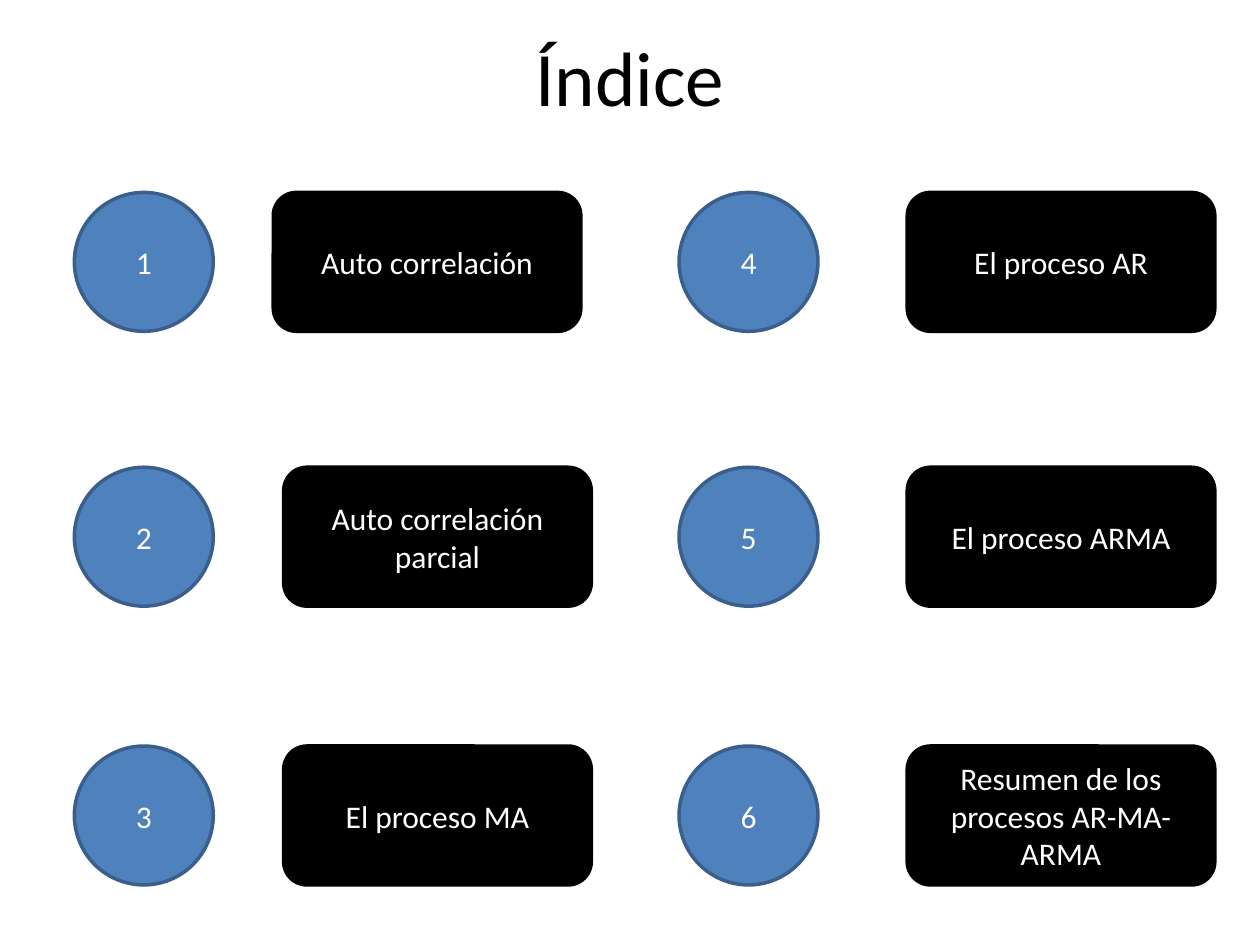
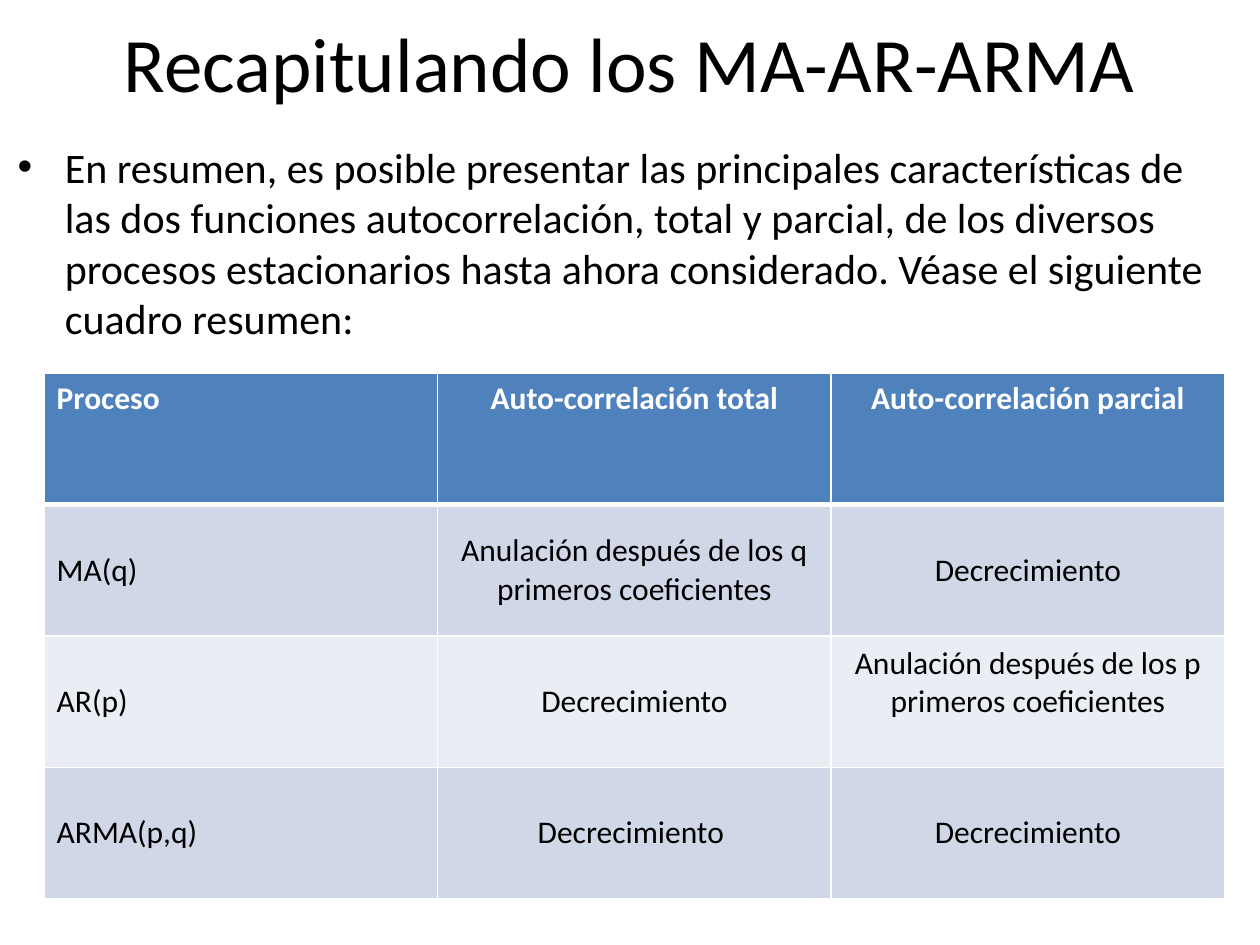
from dataclasses import dataclass

from lxml import etree
from pptx import Presentation
from pptx import util as u
from pptx.dml.color import RGBColor
from pptx.enum import shapes, text
from pptx.oxml import ns

FONT = "Calibri"
HUES = {
    "ink": "000000",
    "paper": "FFFFFF",
    "blue": "4F81BD",
    "edge": "3A5F8C",
    "dark": "D0D8E8",
    "light": "E9EDF4",
}


@dataclass
class Box:
    """Left, top, width and height in centimetres."""
    x: float
    y: float
    w: float
    h: float

    def span(self) -> list:
        return [u.Cm(v) for v in (self.x, self.y, self.w, self.h)]


@dataclass
class Look:
    kind: shapes.MSO_SHAPE
    fill: str
    line: str


@dataclass
class Topic:
    label: str
    left: float
    row: int
    col: int


DISC = Look(shapes.MSO_SHAPE.OVAL, "blue", "edge")
CARD = Look(shapes.MSO_SHAPE.ROUNDED_RECTANGLE, "ink", "ink")

# Index grid
SIDE, WIDE = 2.8, 6.2
DISC_X = (1.5, 13.69)
ROW_Y = (3.88, 9.42, 15.04)
TOPICS = [
    Topic("Auto correlación", 5.51, 0, 0),
    Topic("Auto correlación parcial", 5.72, 1, 0),
    Topic("El proceso MA", 5.72, 2, 0),
    Topic("El proceso AR", 18.29, 0, 1),
    Topic("El proceso ARMA", 18.29, 1, 1),
    Topic("Resumen de los procesos AR-MA-ARMA", 18.29, 2, 1),
]

# Summary table
INTRO = (
    "En resumen, es posible presentar las principales características de las dos "
    "funciones autocorrelación, total y parcial, de los diversos procesos "
    "estacionarios hasta ahora considerado. Véase el siguiente cuadro resumen:"
)
ROWS = [
    ("Proceso", "Auto-correlación total", "Auto-correlación parcial"),
    ("MA(q)", "Anulación después de los q primeros coeficientes", "Decrecimiento"),
    ("AR(p)", "Decrecimiento", "Anulación después de los p primeros coeficientes"),
    ("ARMA(p,q)", "Decrecimiento ", "Decrecimiento"),
]


def tint(name: str) -> RGBColor:
    return RGBColor.from_string(HUES[name])


def write(frame, words: str, size: float, hue: str, bold: bool = False,
          align=None) -> None:
    para = frame.paragraphs[0]
    para.alignment = align
    run = para.add_run()
    run.text = words
    run.font.name = FONT
    run.font.size = u.Pt(size)
    run.font.bold = bold
    run.font.color.rgb = tint(hue)


def place(shape, box: Box) -> None:
    shape.left, shape.top, shape.width, shape.height = box.span()


def start(deck, layout: int, title: str, box: Box):
    """Add a slide with its title."""
    slide = deck.slides.add_slide(deck.slide_layouts[layout])
    head = slide.shapes.title
    place(head, box)
    head.text_frame.vertical_anchor = text.MSO_ANCHOR.MIDDLE
    write(head.text_frame, title, 44, "ink", align=text.PP_ALIGN.CENTER)
    return slide


def draw(slide, look: Look, box: Box, words: str) -> None:
    shape = slide.shapes.add_shape(look.kind, *box.span())
    shape.shadow.inherit = False
    shape.fill.solid()
    shape.fill.fore_color.rgb = tint(look.fill)
    shape.line.color.rgb = tint(look.line)
    shape.line.width = u.Pt(2)
    shape.text_frame.word_wrap = True
    shape.text_frame.vertical_anchor = text.MSO_ANCHOR.MIDDLE
    write(shape.text_frame, words, 18, "paper", align=text.PP_ALIGN.CENTER)


def rule(cell, side: str, width: float) -> None:
    """Draw one white cell border."""
    line = etree.SubElement(cell._tc.get_or_add_tcPr(), ns.qn(f"a:ln{side}"),
                            w=str(u.Pt(width)))
    fill = etree.SubElement(line, ns.qn("a:solidFill"))
    etree.SubElement(fill, ns.qn("a:srgbClr"), val=HUES["paper"])


def fill_cell(cell, words: str, row: int, col: int) -> None:
    top = row == 0
    widths = {"L": 1, "R": 1, "T": 3 if row == 1 else 1, "B": 3 if top else 1}
    for side, width in widths.items():
        rule(cell, side, width)
    cell.fill.solid()
    cell.fill.fore_color.rgb = tint("blue" if top else "dark" if row % 2 else "light")
    cell.vertical_anchor = text.MSO_ANCHOR.TOP if top else text.MSO_ANCHOR.MIDDLE
    align = text.PP_ALIGN.CENTER if col else text.PP_ALIGN.LEFT
    write(cell.text_frame, words, 18, "paper" if top else "ink", top, align)


def index(deck) -> None:
    slide = start(deck, 5, "Índice", Box(1.27, 0.15, 22.86, 2.77))
    for num, item in enumerate(TOPICS, 1):
        y = ROW_Y[item.row]
        draw(slide, DISC, Box(DISC_X[item.col], y, SIDE, SIDE), str(num))
        draw(slide, CARD, Box(item.left, y, WIDE, SIDE), item.label)


def recap(deck) -> None:
    slide = start(deck, 1, "Recapitulando los MA-AR-ARMA", Box(0.3, 0.13, 24.79, 2.21))
    body = slide.placeholders[1]
    place(body, Box(0.1, 2.72, 24.99, 12.57))
    write(body.text_frame, INTRO, 24, "ink")

    area = Box(0.89, 7.52, 23.8, 10.6)
    table = slide.shapes.add_table(len(ROWS), len(ROWS[0]), *area.span()).table
    for row, line in enumerate(ROWS):
        for col, words in enumerate(line):
            fill_cell(table.cell(row, col), words, row, col)
    # The AR(p) partial entry sits above the middle
    table.cell(2, 2).margin_bottom = u.Cm(0.89)


def main() -> None:
    deck = Presentation()
    deck.slide_width, deck.slide_height = u.Cm(25.4), u.Cm(19.05)
    index(deck)
    recap(deck)
    deck.save("out.pptx")


if __name__ == "__main__":
    main()
